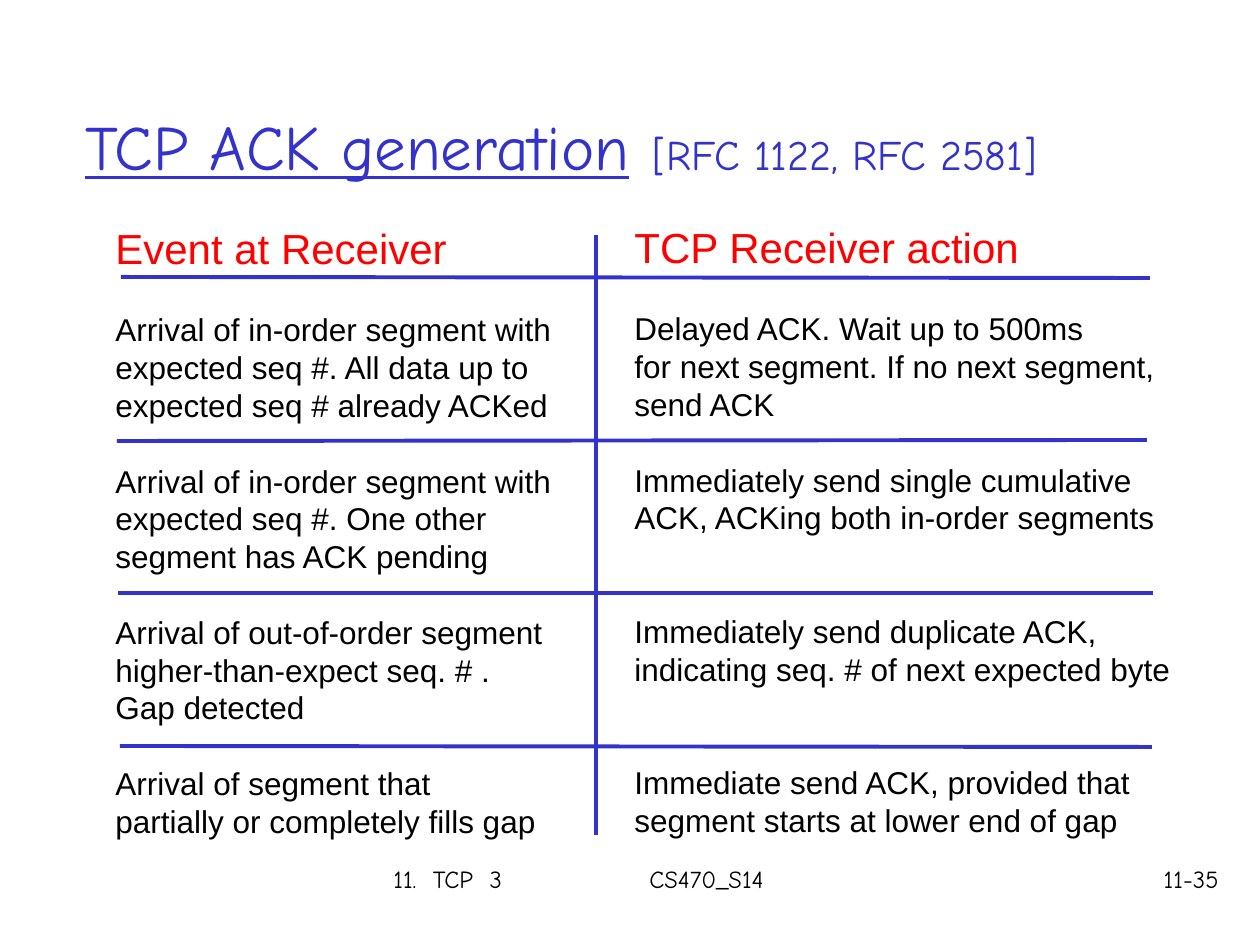
import pptx
import pptx.util
import pptx.dml.color
import pptx.enum.shapes
import pptx.enum.text
import pptx.oxml.ns
import lxml.etree

EMU_PER_PX = 914400 / 126
COLORS = {"blue": "3333CC", "red": "FF0000", "black": "000000"}
TITLE_FONT = "Comic Neue"
TABLE_FONT = "Arial"
LINE_PT = 21.6
LINES_PER_ROW = 4

EVENTS = [
    ["Arrival of in-order segment with", "expected seq #. All data up to",
     "expected seq # already ACKed"],
    ["Arrival of in-order segment with", "expected seq #. One other",
     "segment has ACK pending"],
    ["Arrival of out-of-order segment", "higher-than-expect seq. # .",
     "Gap detected"],
    ["Arrival of segment that", "partially or completely fills gap"],
]
ACTIONS = [
    ["Delayed ACK. Wait up to 500ms", "for next segment. If no next segment,",
     "send ACK"],
    ["Immediately send single cumulative", "ACK, ACKing both in-order segments"],
    ["Immediately send duplicate ACK,", "indicating seq. # of next expected byte"],
    ["Immediate send ACK, provided that", "segment starts at lower end of gap"],
]


def px(length):
    return pptx.util.Emu(round(length * EMU_PER_PX))


def style(run, font, size, color, underline=False):
    run.font.name = font
    run.font.size = pptx.util.Pt(size)
    run.font.color.rgb = pptx.dml.color.RGBColor.from_string(COLORS[color])
    run.font.underline = underline


def add_frame(slide, box, wrap=True):
    frame = slide.shapes.add_textbox(*map(px, box)).text_frame
    frame.word_wrap = wrap
    return frame


def add_title(slide, box):
    frame = add_frame(slide, box)
    frame.vertical_anchor = pptx.enum.text.MSO_ANCHOR.MIDDLE
    for text, size, underline in [
        ("TCP ACK generation", 36, True),
        (" ", 40, False),
        ("[RFC 1122, RFC 2581]", 24, False),
    ]:
        run = frame.paragraphs[0].add_run()
        run.text = text
        style(run, TITLE_FONT, size, "blue", underline)


def add_column(slide, box, heading, rows):
    frame = add_frame(slide, box, wrap=False)
    header = frame.paragraphs[0]
    header.text = heading
    header.line_spacing = pptx.util.Pt(30)
    style(header.runs[0], TABLE_FONT, 24, "red")
    gap = LINE_PT
    for row in rows:
        for index, text in enumerate(row):
            line = frame.add_paragraph()
            line.text = text
            line.line_spacing = pptx.util.Pt(LINE_PT)
            line.space_before = pptx.util.Pt(0 if index else gap)
            style(line.runs[0], TABLE_FONT, 18, "black")
        gap = (LINES_PER_ROW - len(row)) * LINE_PT


def add_rule(slide, start, end):
    rule = slide.shapes.add_connector(
        pptx.enum.shapes.MSO_CONNECTOR.STRAIGHT, *map(px, start + end))
    rule.line.color.rgb = pptx.dml.color.RGBColor.from_string(COLORS["blue"])
    rule.line.width = pptx.util.Pt(2.25)
    lxml.etree.SubElement(rule._element.spPr, pptx.oxml.ns.qn("a:effectLst"))


def add_table_area(slide, box):
    left, top, width, height = box
    add_column(slide, (left, top + 1, 461, height), "Event at Receiver", EVENTS)
    add_column(slide, (left + 519, top, 561, height), "TCP Receiver action", ACTIONS)
    for x1, y1, x2, y2 in [
        (18, 64, 1047, 65),
        (14, 228, 1044, 227),
        (15, 380, 1050, 380),
        (17, 533, 1049, 534),
        (493, 22, 493, 622),
    ]:
        add_rule(slide, (left + x1, top + y1), (left + x2, top + y2))


def add_footer(slide, box):
    left, top, width, height = box
    course = add_frame(slide, (left, top, 755, height)).paragraphs[0]
    course.text = "11.  TCP  3\tCS470_S14"
    tabs = lxml.etree.SubElement(
        course._p.get_or_add_pPr(), pptx.oxml.ns.qn("a:tabLst"))
    lxml.etree.SubElement(
        tabs, pptx.oxml.ns.qn("a:tab"), pos=str(px(256)), algn="l")
    number = add_frame(slide, (left + width - 130, top, 130, height)).paragraphs[0]
    number.text = "11-35"
    number.alignment = pptx.enum.text.PP_ALIGN.RIGHT
    for paragraph in (course, number):
        style(paragraph.runs[0], TITLE_FONT, 14, "black")


def main():
    deck = pptx.Presentation()
    deck.slide_width, deck.slide_height = px(1260), px(945)
    slide = deck.slides.add_slide(deck.slide_layouts[6])
    add_title(slide, (73, 64, 1071, 156))
    add_table_area(slide, (103, 213, 1080, 706))
    add_footer(slide, (381, 858, 850, 63))
    deck.save("out.pptx")


if __name__ == "__main__":
    main()
